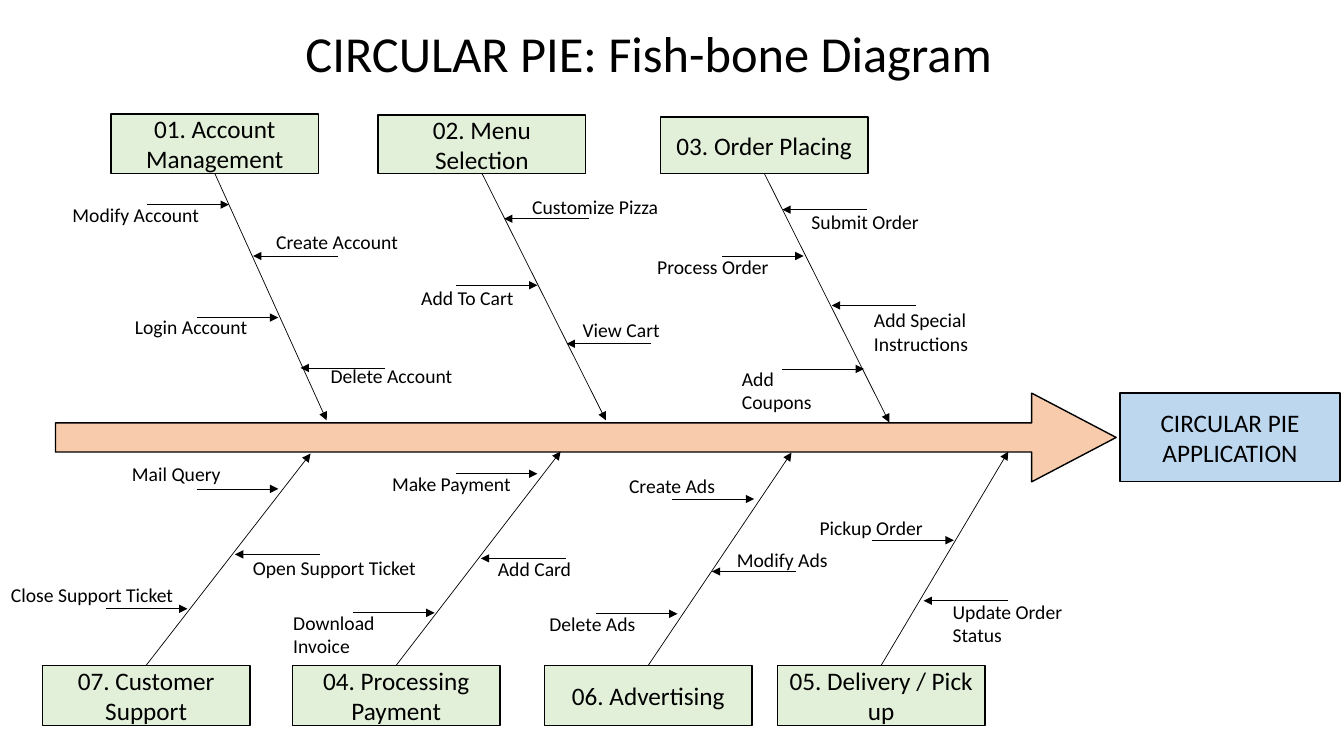
from dataclasses import dataclass, field

from lxml.etree import SubElement
from pptx import Presentation
from pptx.dml.color import RGBColor
from pptx.enum.shapes import MSO_CONNECTOR, MSO_SHAPE
from pptx.enum.text import MSO_ANCHOR, MSO_AUTO_SIZE, PP_ALIGN
from pptx.oxml.ns import qn
from pptx.util import Inches, Pt


@dataclass(frozen=True)
class Theme:
    font: str = "Calibri"
    ink: RGBColor = RGBColor(0x00, 0x00, 0x00)
    spine: RGBColor = RGBColor(0xF8, 0xCB, 0xAD)
    category: RGBColor = RGBColor(0xE2, 0xF0, 0xD9)
    effect: RGBColor = RGBColor(0xBD, 0xD7, 0xEE)
    title_size: int = 36
    box_size: int = 18
    label_size: int = 14
    outline: float = 1
    bone: float = 0.5


THEME = Theme()
CATEGORY_WIDTH = 2.06
RIGHT, LEFT = 0.81, -0.84  # run of a cause arrow, by the way it points


@dataclass
class Cause:
    label: str
    left: float
    top: float
    width: float
    tip: tuple
    run: float
    lines: int = 1


@dataclass
class Category:
    name: str
    left: float
    top: float
    height: float
    tip: tuple
    causes: list = field(default_factory=list)


UPPER = [
    Category("01. Account Management", 1.1, 1.13, 0.59, (3.24, 4.17), [
        Cause("Modify Account", 0.62, 1.96, 1.64, (2.27, 2.03), RIGHT),
        Cause("Create Account", 2.64, 2.23, 1.64, (2.51, 2.54), LEFT),
        Cause("Login Account", 1.24, 3.08, 1.83, (2.76, 3.15), RIGHT),
        Cause("Delete Account", 3.18, 3.56, 1.83, (2.98, 3.65), LEFT),
    ]),
    Category("02. Menu Selection", 3.75, 1.14, 0.58, (6.01, 4.17), [
        Cause("Customize Pizza", 5.18, 1.88, 1.78, (5, 2.17), LEFT),
        Cause("Add To Cart", 4.08, 2.79, 1.5, (5.33, 2.83), RIGHT),
        Cause("View Cart", 5.68, 3.11, 1.5, (5.62, 3.41), LEFT),
    ]),
    Category("03. Order Placing", 6.55, 1.16, 0.56, (8.82, 4.19), [
        Cause("Submit Order", 7.95, 2.03, 1.72, (7.76, 2.08), LEFT),
        Cause("Process Order", 6.42, 2.48, 1.64, (7.97, 2.54), RIGHT),
        Cause("Add Special Instructions", 8.57, 3.01, 1.64, (8.25, 3.03), LEFT, 2),
        Cause("Add Coupons", 7.26, 3.59, 1.25, (8.57, 3.66), RIGHT, 2),
    ]),
]

LOWER = [
    Category("07. Customer\nSupport", 0.42, 6.6, 0.6, (3.08, 4.5), [
        Cause("Mail Query", 1.21, 4.53, 1.58, (2.76, 4.85), RIGHT),
        Cause("Open Support Ticket", 2.41, 5.47, 2.01, (2.33, 5.5), LEFT),
        Cause("Close Support Ticket", 0.01, 5.73, 2.16, (1.86, 6.04), RIGHT),
    ]),
    Category("04. Processing Payment", 2.9, 6.6, 0.6, (5.56, 4.48), [
        Cause("Make Payment", 3.79, 4.63, 1.58, (5.33, 4.7), RIGHT),
        Cause("Add Card", 4.84, 5.48, 1.46, (4.77, 5.54), LEFT),
        Cause("Download Invoice", 2.81, 6.01, 1.22, (4.31, 6.08), RIGHT, 2),
    ]),
    Category("06. Advertising", 5.4, 6.6, 0.6, (7.85, 4.49), [
        Cause("Create Ads", 6.14, 4.65, 1.65, (7.48, 4.95), RIGHT),
        Cause("Modify Ads", 7.21, 5.39, 1.65, (7.06, 5.67), LEFT),
        Cause("Delete Ads", 5.35, 6.02, 1.65, (6.72, 6.09), RIGHT),
    ]),
    Category("05. Delivery / Pick up", 7.71, 6.6, 0.6, (10, 4.48), [
        Cause("Pickup Order", 8.03, 5.07, 1.38, (9.46, 5.36), RIGHT),
        Cause("Update Order Status", 9.35, 5.9, 1.38, (9.16, 5.96), LEFT, 2),
    ]),
]


def write(frame, text, size, align):
    frame.text = text
    frame.word_wrap = True
    for para in frame.paragraphs:
        para.alignment = align
        for span in para.runs:
            span.font.name = THEME.font
            span.font.size = Pt(size)
            span.font.color.rgb = THEME.ink


def add_title(page, text):
    title = page.shapes.title
    title.left, title.top = Inches(2.93), Inches(0.17)
    title.width, title.height = Inches(7.14), Inches(0.71)
    write(title.text_frame, text, THEME.title_size, PP_ALIGN.LEFT)
    title.text_frame.vertical_anchor = MSO_ANCHOR.TOP


def add_block(page, kind, left, top, width, height, fill, text=""):
    block = page.shapes.add_shape(
        kind, Inches(left), Inches(top), Inches(width), Inches(height))
    block.shadow.inherit = False
    block.fill.solid()
    block.fill.fore_color.rgb = fill
    block.line.color.rgb = THEME.ink
    block.line.width = Pt(THEME.outline)
    if text:
        write(block.text_frame, text, THEME.box_size, PP_ALIGN.CENTER)
        block.text_frame.vertical_anchor = MSO_ANCHOR.MIDDLE
    return block


def add_arrow(page, start, tip):
    arrow = page.shapes.add_connector(
        MSO_CONNECTOR.STRAIGHT, *(Inches(value) for value in (*start, *tip)))
    arrow.line.color.rgb = THEME.ink
    arrow.line.width = Pt(THEME.bone)
    SubElement(arrow.line._get_or_add_ln(), qn("a:tailEnd"), type="triangle")
    SubElement(arrow._element.spPr, qn("a:effectLst"))


def add_cause(page, cause):
    tip_x, tip_y = cause.tip
    add_arrow(page, (tip_x - cause.run, tip_y), cause.tip)
    height = 0.34 if cause.lines == 1 else 0.57
    box = page.shapes.add_textbox(
        Inches(cause.left), Inches(cause.top), Inches(cause.width), Inches(height))
    write(box.text_frame, cause.label, THEME.label_size, PP_ALIGN.LEFT)
    box.text_frame.auto_size = MSO_AUTO_SIZE.SHAPE_TO_FIT_TEXT


def add_category(page, category, joint_y):
    add_block(page, MSO_SHAPE.RECTANGLE, category.left, category.top,
              CATEGORY_WIDTH, category.height, THEME.category, category.name)
    add_arrow(page, (category.left + CATEGORY_WIDTH / 2, joint_y), category.tip)
    for cause in category.causes:
        add_cause(page, cause)


def main():
    deck = Presentation()
    deck.slide_width, deck.slide_height = Inches(13.33), Inches(7.5)
    page = deck.slides.add_slide(deck.slide_layouts.get_by_name("Title Only"))
    add_title(page, "CIRCULAR PIE: Fish-bone Diagram")

    # Spine and the effect it points to
    spine = add_block(page, MSO_SHAPE.RIGHT_ARROW, 0.55, 3.9, 10.52, 0.88, THEME.spine)
    spine.adjustments[0], spine.adjustments[1] = 0.328, 0.952
    add_block(page, MSO_SHAPE.RECTANGLE, 11.11, 3.9, 2.18, 0.88, THEME.effect,
              "CIRCULAR PIE APPLICATION")

    # Bones leave the bottom of the upper boxes and the top of the lower ones
    for category in UPPER:
        add_category(page, category, category.top + category.height)
    for category in LOWER:
        add_category(page, category, category.top)

    deck.save("out.pptx")


if __name__ == "__main__":
    main()
